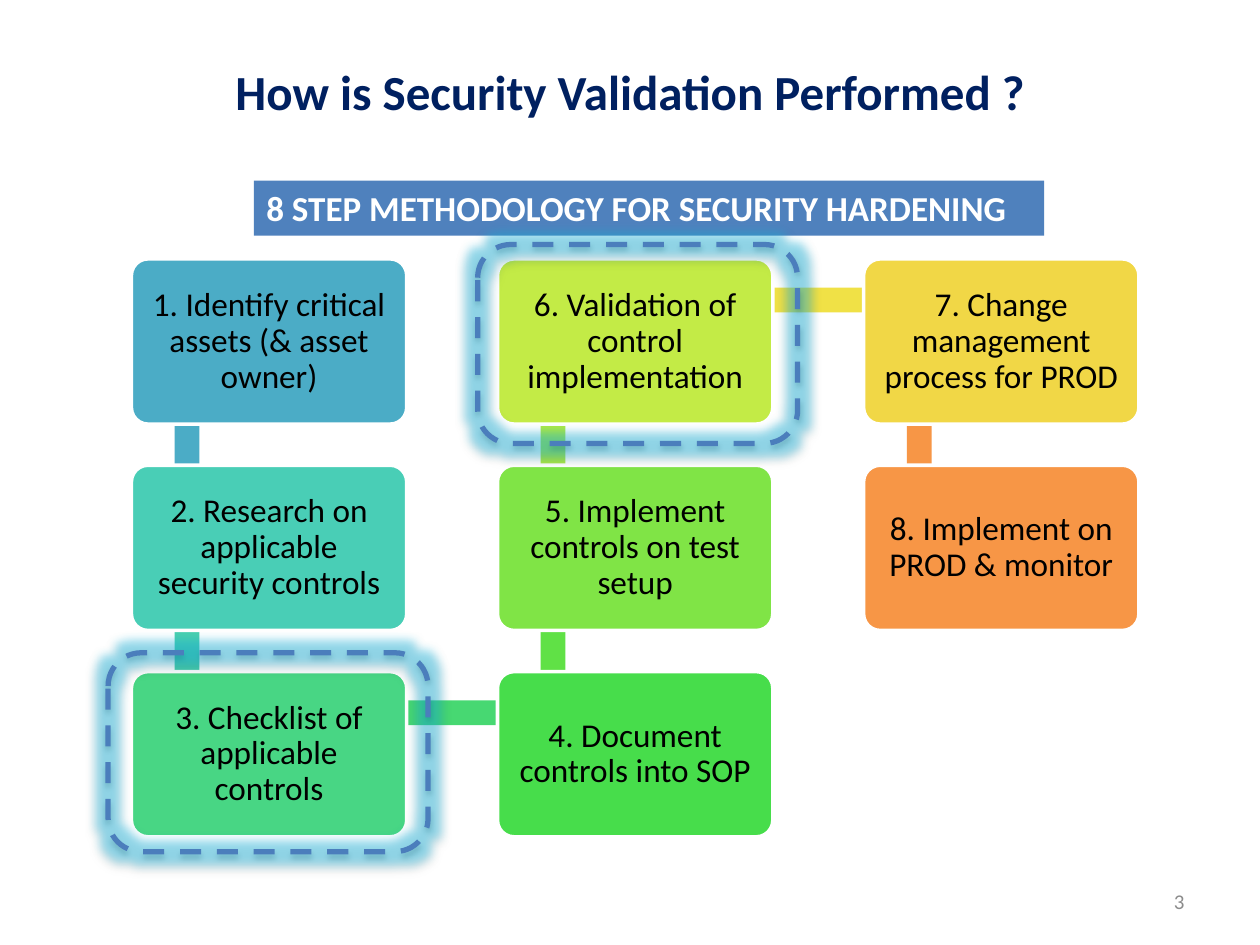
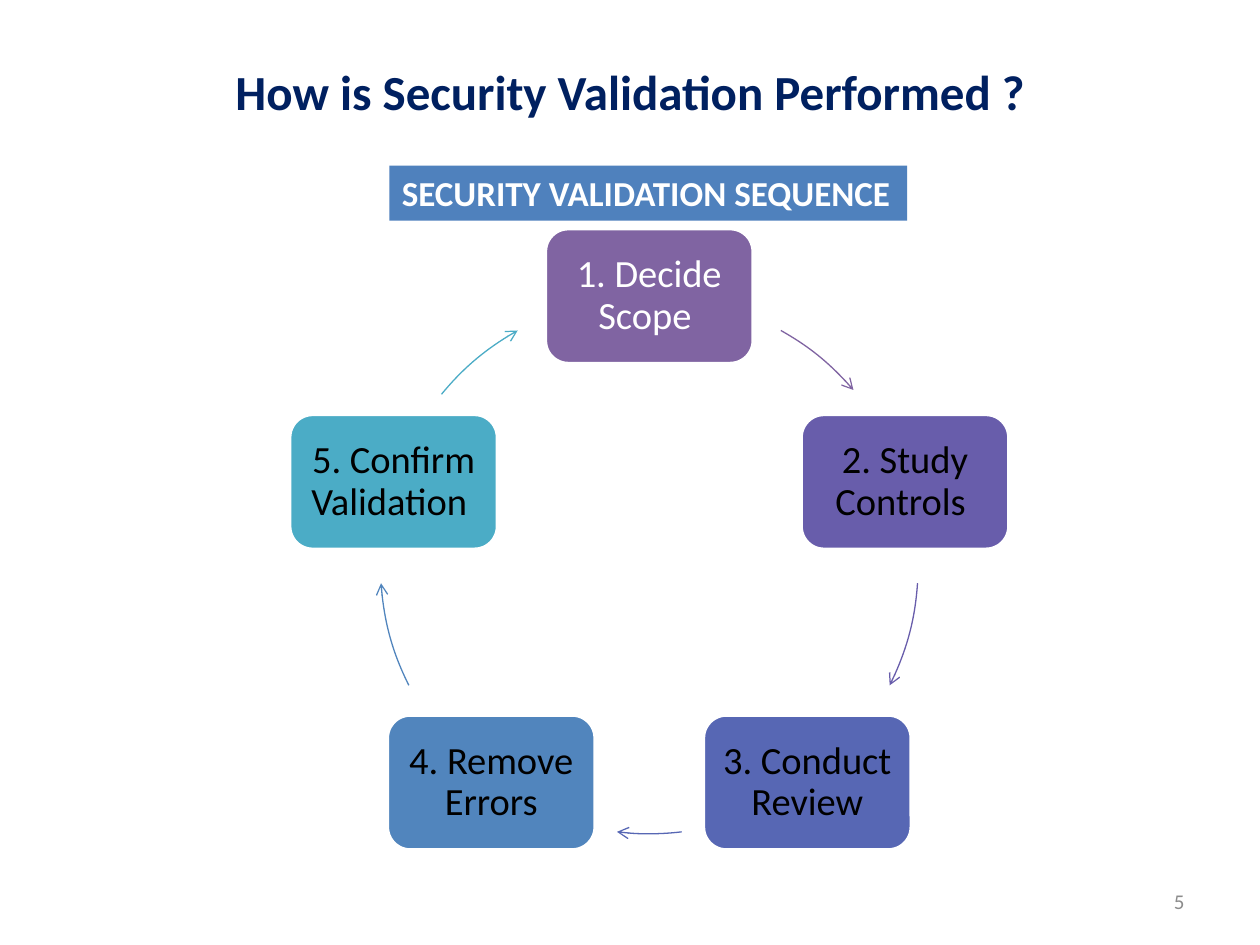
from math import cos, radians, sin

from lxml import etree
from pptx import Presentation
from pptx.dml.color import RGBColor as Rgb
from pptx.enum.dml import MSO_LINE
from pptx.enum.shapes import MSO_SHAPE as Shape
from pptx.enum.text import MSO_ANCHOR as Anchor, PP_ALIGN as Align
from pptx.oxml import parse_xml
from pptx.oxml.ns import nsdecls, qn
from pptx.util import Cm, Pt

NAVY = Rgb(0x00, 0x20, 0x60)
WHITE = Rgb(0xFF, 0xFF, 0xFF)
BLACK = Rgb(0x00, 0x00, 0x00)
GREY = Rgb(0x8C, 0x8C, 0x8C)
BANNER_BLUE = Rgb(0x4F, 0x81, 0xBD)
FRAME_BLUE = Rgb(0x4B, 0x7E, 0xBC)
TEAL = Rgb(0x4B, 0xAC, 0xC6)
ORANGE = Rgb(0xF7, 0x96, 0x46)

TITLE_FONT = {"name": "Calibri", "size": Pt(28), "bold": True}
BANNER_FONT = {"name": "Calibri", "size": Pt(20), "bold": True}
STEP_FONT = {"name": "Calibri", "size": Pt(19), "bold": False}
STAGE_FONT = {"name": "Calibri", "size": Pt(22), "bold": False}
NUMBER_FONT = {"name": "Calibri", "size": Pt(12), "bold": False}

# column, row, text, box colour, colour of the link to the next step
STEPS = [
    (0, 0, "1. Identify critical assets (& asset owner)", TEAL, TEAL),
    (0, 1, "2. Research on applicable security controls",
     Rgb(0x49, 0xCE, 0xB6), Rgb(0x49, 0xCF, 0xAE)),
    (0, 2, "3. Checklist of applicable controls",
     Rgb(0x48, 0xD6, 0x84), Rgb(0x47, 0xD8, 0x72)),
    (1, 2, "4. Document controls into SOP",
     Rgb(0x47, 0xDD, 0x4B), Rgb(0x60, 0xE1, 0x46)),
    (1, 1, "5. Implement controls on test setup",
     Rgb(0x80, 0xE4, 0x46), Rgb(0xAC, 0xE9, 0x46)),
    (1, 0, "6. Validation of control implementation",
     Rgb(0xC3, 0xEB, 0x46), Rgb(0xF0, 0xE1, 0x46)),
    (2, 0, "7. Change management process for PROD",
     Rgb(0xF1, 0xD7, 0x46), ORANGE),
    (2, 1, "8. Implement on PROD & monitor", ORANGE, None),
]
HIGHLIGHT_CORNERS = [(9.63, 4.93), (2.18, 13.16)]
GRID_LEFT, GRID_TOP = 2.65, 5.22
COLUMN_PITCH, ROW_PITCH = 7.38, 4.16
STEP_WIDTH, STEP_HEIGHT = 5.55, 3.33
LINK_WIDTH = 0.5

# text, text colour, box colour, start and end angle of the arrow that follows
STAGES = [
    ("1. Decide Scope ", WHITE, Rgb(0x80, 0x64, 0xA2), (-60.7, -40.6)),
    ("2. Study Controls ", BLACK, Rgb(0x68, 0x5D, 0xAB), (3.9, 26.6)),
    ("3. Conduct Review", BLACK, Rgb(0x57, 0x67, 0xB4), (83.1, 96.9)),
    ("4. Remove Errors", BLACK, Rgb(0x51, 0x85, 0xBD), (153.4, 176.1)),
    ("5. Confirm Validation ", BLACK, TEAL, (219.4, 240.7)),
]
CYCLE_X, CYCLE_Y, CYCLE_RADIUS = 13.09, 11.39, 5.42
STAGE_WIDTH, STAGE_HEIGHT = 4.19, 2.72

GLOW_AND_SHADOW = f"""<a:effectLst {nsdecls("a")}>
  <a:glow rad="139700"><a:srgbClr val="{TEAL}">
    <a:satMod val="175000"/><a:alpha val="40000"/></a:srgbClr></a:glow>
  <a:outerShdw blurRad="40000" dist="23000" dir="5400000" rotWithShape="0">
    <a:srgbClr val="{BLACK}"><a:alpha val="35000"/></a:srgbClr></a:outerShdw>
</a:effectLst>"""


def write(frame, text, font_values, color, align, inset=None, anchor=Anchor.MIDDLE):
    frame.word_wrap = True
    frame.vertical_anchor = anchor
    if inset is not None:
        for side in ("left", "right", "top", "bottom"):
            setattr(frame, f"margin_{side}", Cm(inset))
    paragraph = frame.paragraphs[0]
    paragraph.alignment = align
    run = paragraph.add_run()
    run.text = text
    for name, value in font_values.items():
        setattr(run.font, name, value)
    run.font.color.rgb = color
    return paragraph


def add_block(slide, kind, left, top, width, height, fill=None):
    """Add a flat preset shape without line; lengths in centimetres."""
    block = slide.shapes.add_shape(kind, Cm(left), Cm(top), Cm(width), Cm(height))
    block.shadow.inherit = False
    block.line.fill.background()
    if fill is None:
        block.fill.background()
    else:
        block.fill.solid()
        block.fill.fore_color.rgb = fill
    return block


def add_card(slide, box, corner, fill, text, font_values, color, inset):
    """Add a rounded, white-edged box with centred text."""
    card = add_block(slide, Shape.ROUNDED_RECTANGLE, *box, fill)
    card.adjustments[0] = corner
    card.line.color.rgb = WHITE
    card.line.width = Pt(2)
    paragraph = write(card.text_frame, text, font_values, color, Align.CENTER, inset)
    paragraph.line_spacing = 0.9


def add_banner(slide, text, left, top, width):
    banner = add_block(slide, Shape.RECTANGLE, left, top, width, 1.11, BANNER_BLUE)
    write(banner.text_frame, text, BANNER_FONT, WHITE, Align.LEFT, anchor=Anchor.TOP)


def add_titled_slide(deck, number):
    slide = deck.slides.add_slide(deck.slide_layouts[5])
    title = slide.shapes.title
    title.left, title.top, title.width, title.height = map(
        Cm, (1.27, 0.58, 22.86, 2.49))
    write(title.text_frame, "How is Security Validation Performed ?",
          TITLE_FONT, NAVY, Align.CENTER)
    page = slide.shapes.add_textbox(Cm(18.2), Cm(17.66), Cm(5.93), Cm(1.01))
    write(page.text_frame, str(number), NUMBER_FONT, GREY, Align.RIGHT)
    return slide


def grid_corner(column, row):
    return GRID_LEFT + column * COLUMN_PITCH, GRID_TOP + row * ROW_PITCH


def add_link(slide, step, following, fill):
    """Add the bar that runs behind two neighbouring step boxes."""
    left, top = grid_corner(*step)
    if step[0] == following[0]:
        top = min(top, grid_corner(*following)[1])
        box = left + 0.87, top + 0.85, LINK_WIDTH, ROW_PITCH
    else:
        box = left + 1.14, top + 0.58, COLUMN_PITCH, LINK_WIDTH
    add_block(slide, Shape.RECTANGLE, *box, fill)


def add_highlight(slide, left, top):
    frame = add_block(slide, Shape.ROUNDED_RECTANGLE, left, top, 6.45, 4.01)
    frame.line.color.rgb = FRAME_BLUE
    frame.line.width = Pt(3)
    frame.line.dash_style = MSO_LINE.DASH
    properties = frame.element.spPr
    properties.replace(properties.find(qn("a:effectLst")),
                       parse_xml(GLOW_AND_SHADOW))


def cycle_point(angle):
    return (CYCLE_X + CYCLE_RADIUS * cos(radians(angle)),
            CYCLE_Y + CYCLE_RADIUS * sin(radians(angle)))


def add_arc_arrow(slide, start, end, color):
    """Add an arc of the cycle's circle, in a freeform as large as the circle."""
    left, top = Cm(CYCLE_X - CYCLE_RADIUS), Cm(CYCLE_Y - CYCLE_RADIUS)
    size = Cm(2 * CYCLE_RADIUS)
    builder = slide.shapes.build_freeform(left, top)
    builder.add_line_segments([(left + size, top + size)], close=False)
    arc = builder.convert_to_shape()

    outline = next(arc.element.spPr.iter(qn("a:path")))
    for segment in list(outline):
        outline.remove(segment)
    x, y = cycle_point(start)
    move = etree.SubElement(outline, qn("a:moveTo"))
    etree.SubElement(move, qn("a:pt"), x=str(Cm(x) - left), y=str(Cm(y) - top))
    radius = str(Cm(CYCLE_RADIUS))
    etree.SubElement(outline, qn("a:arcTo"), wR=radius, hR=radius,
                     stAng=str(round(start % 360 * 60000)),
                     swAng=str(round((end - start) * 60000)))

    arc.shadow.inherit = False
    arc.fill.background()
    arc.line.color.rgb = color
    arc.line.width = Pt(0.75)
    line = arc.element.spPr.find(qn("a:ln"))
    etree.SubElement(line, qn("a:tailEnd"), type="arrow")


def build_methodology(deck):
    slide = add_titled_slide(deck, 3)
    for index, (column, row, text, fill, link_fill) in enumerate(STEPS):
        if link_fill is not None:
            add_link(slide, (column, row), STEPS[index + 1][:2], link_fill)
        box = *grid_corner(column, row), STEP_WIDTH, STEP_HEIGHT
        add_card(slide, box, 0.1, fill, text, STEP_FONT, BLACK, 0.2)
    add_banner(slide, "8 STEP METHODOLOGY FOR SECURITY HARDENING", 5.12, 3.64, 15.93)
    for corner in HIGHLIGHT_CORNERS:
        add_highlight(slide, *corner)


def build_sequence(deck):
    slide = add_titled_slide(deck, 5)
    for index, (text, color, fill, arc) in enumerate(STAGES):
        x, y = cycle_point(index * 360 / len(STAGES) - 90)
        box = x - STAGE_WIDTH / 2, y - STAGE_HEIGHT / 2, STAGE_WIDTH, STAGE_HEIGHT
        add_card(slide, box, 0.17, fill, text, STAGE_FONT, color, 0.23)
        add_arc_arrow(slide, *arc, fill)
    add_banner(slide, "SECURITY VALIDATION SEQUENCE", 7.85, 3.34, 10.44)


def main():
    deck = Presentation()
    deck.slide_width, deck.slide_height = Cm(25.4), Cm(19.05)
    build_methodology(deck)
    build_sequence(deck)
    deck.save("out.pptx")


if __name__ == "__main__":
    main()
